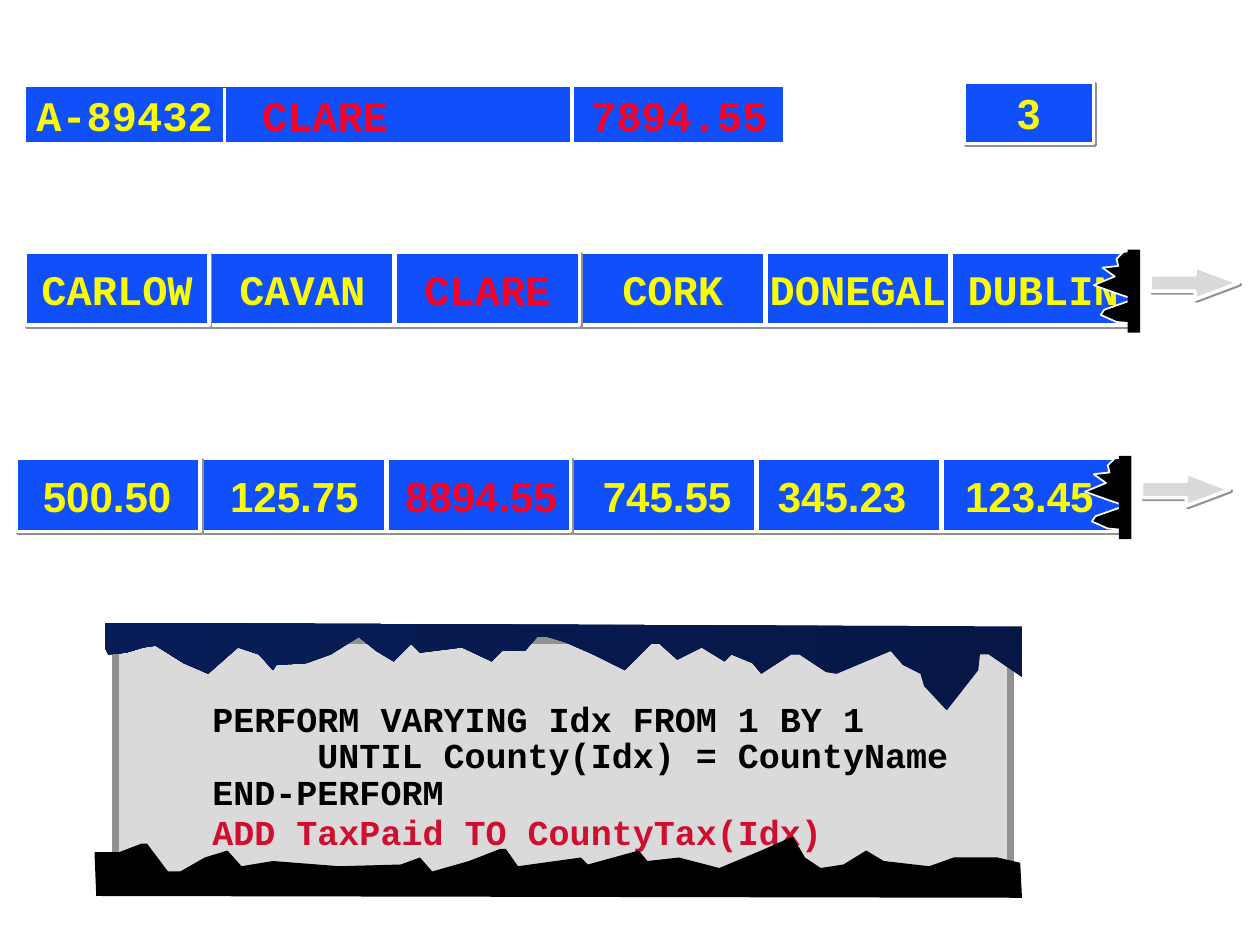
"""Build the county tax table slide with its search code."""
from lxml import etree
from pptx import Presentation
from pptx.dml.color import RGBColor
from pptx.enum.shapes import MSO_CONNECTOR, MSO_SHAPE
from pptx.enum.text import MSO_ANCHOR, PP_ALIGN
from pptx.oxml.ns import qn
from pptx.util import Pt

RECT, ARROW = MSO_SHAPE.RECTANGLE, MSO_SHAPE.RIGHT_ARROW
LINE = MSO_CONNECTOR.STRAIGHT
LEFT, MID = PP_ALIGN.LEFT, PP_ALIGN.CENTER
TOP, CENTRE = MSO_ANCHOR.TOP, MSO_ANCHOR.MIDDLE

THEME = {
    "blue": "114FFB", "white": "FFFFFF", "black": "000000", "yellow": "FAFD00",
    "red": "FC0128", "crimson": "CF0E30", "pale": "DADADA", "grey": "919191",
    "navy": "061746", "ink": "081D58", "mono": "Courier New", "sans": "Arial",
    "big": 24, "small": 20,
}

TEAR = [
    (649, 143), (642, 144), (638, 148), (639, 152), (630, 153), (637, 158),
    (625, 163), (639, 168), (648, 171), (631, 177), (629, 180), (638, 184),
    (649, 185), (649, 144),
]
FLOOR = [
    (54, 487), (68, 487), (81, 482), (84, 482), (96, 498), (103, 498), (117, 490),
    (130, 486), (138, 495), (156, 492), (194, 495), (229, 494), (240, 490),
    (247, 498), (268, 492), (286, 485), (289, 485), (296, 495), (332, 490),
    (336, 494), (365, 486), (370, 492), (388, 490), (411, 496), (435, 486),
    (453, 478), (460, 490), (469, 496), (482, 494), (495, 486), (505, 492),
    (531, 495), (545, 490), (570, 490), (583, 493), (584, 513), (55, 512),
]
ROOF = [
    (60, 356), (584, 358), (584, 387), (565, 374), (560, 374), (559, 383),
    (541, 406), (528, 392), (526, 385), (516, 380), (509, 372), (478, 385),
    (472, 384), (457, 374), (452, 374), (435, 385), (430, 379), (418, 374),
    (414, 378), (401, 370), (387, 377), (377, 368), (372, 368), (357, 383),
    (339, 374), (323, 367), (313, 364), (307, 364), (300, 372), (287, 372),
    (281, 378), (264, 370), (240, 373), (235, 368), (225, 378), (215, 372),
    (205, 364), (189, 374), (175, 379), (158, 380), (156, 383), (148, 374),
    (136, 370), (119, 385), (105, 379), (89, 369), (82, 370), (72, 373),
    (62, 374), (60, 370),
]


def paint(shape, fill, edge=None, width=2, cast=False):
    shape.shadow.inherit = False
    shape.fill.solid()
    shape.fill.fore_color.rgb = RGBColor.from_string(THEME[fill])
    if edge:
        shape.line.color.rgb = RGBColor.from_string(THEME[edge])
        shape.line.width = Pt(width)
    else:
        shape.line.fill.background()
    if cast:
        glow = etree.SubElement(
            shape.element.spPr.find(qn("a:effectLst")), qn("a:outerShdw"),
            blurRad="0", dist=str(Pt(1.4)), dir="2700000", algn="ctr", rotWithShape="0")
        etree.SubElement(glow, qn("a:srgbClr"), val=THEME["grey"])
    return shape


def write(shape, lines, face="mono", size="big", align=LEFT, anchor=CENTRE,
          wrap=True, inset=(0, 0), tabs=(), pitch=None):
    frame = shape.text_frame
    frame.word_wrap, frame.vertical_anchor = wrap, anchor
    frame.margin_left, frame.margin_top = Pt(inset[0]), Pt(inset[1])
    frame.margin_right = frame.margin_bottom = 0
    for row, parts in enumerate(lines):
        para = frame.add_paragraph() if row else frame.paragraphs[0]
        para.alignment = align
        if pitch:
            para.line_spacing = Pt(pitch)
        if tabs:
            stops = etree.SubElement(para._p.get_or_add_pPr(), qn("a:tabLst"))
            for stop in tabs:
                etree.SubElement(stops, qn("a:tab"), pos=str(Pt(stop)), algn="l")
        for text, color in parts:
            run = para.add_run()
            run.text = text
            run.font.name, run.font.size = THEME[face], Pt(THEME[size])
            run.font.bold = True
            run.font.color.rgb = RGBColor.from_string(THEME[color])


deck = Presentation()
deck.slide_width, deck.slide_height = Pt(720), Pt(540)
shapes = deck.slides.add_slide(deck.slide_layouts[6]).shapes

field = shapes.add_shape(RECT, Pt(13.7), Pt(49), Pt(434.9), Pt(33.1))
write(paint(field, "blue", "white"),
      [[("A-89432\t", "yellow"), ("CLARE\t7894.55", "red")]],
      inset=(7.2, 0), tabs=(129, 317))
for x, y in ((128.2, 50.4), (326.9, 49)):
    rule = shapes.add_connector(LINE, Pt(x), Pt(y), Pt(x), Pt(y + 33.1))
    rule.line.color.rgb = RGBColor.from_string(THEME["white"])
    rule.line.width = Pt(2)
    etree.SubElement(rule.element.spPr, qn("a:effectLst"))

index = shapes.add_shape(RECT, Pt(550.8), Pt(46.8), Pt(74.2), Pt(35.3))
write(paint(index, "blue", "white", cast=True), [[("3", "yellow")]],
      face="sans", align=MID, wrap=False)

NAMES = ("CARLOW", "CAVAN", "CLARE", "CORK", "DONEGAL", "DUBLIN")
for dx, dy, names in ((0, 0, NAMES), (-5, 118, ())):
    for col in (3, 1, 4, 0, 2, 5):
        cell = shapes.add_shape(RECT, Pt(14.4 + dx + 105.84 * col), Pt(144 + dy),
                                Pt(105), Pt(41.8))
        paint(cell, "blue", "white", cast=True)
        if names:
            color = "red" if names[col] == "CLARE" else "yellow"
            write(cell, [[(names[col], color)]], align=MID, wrap=False)
    pen = shapes.build_freeform(*TEAR[0], scale=Pt(1))
    pen.add_line_segments(TEAR[1:])
    paint(pen.convert_to_shape(Pt(dx), Pt(dy)), "black", "white", 1)
    bar = shapes.add_shape(RECT, Pt(644.4 + dx), Pt(142.6 + dy), Pt(7.2), Pt(47.5))
    paint(bar, "black")
    arrow = shapes.add_shape(ARROW, Pt(657.4 + dx), Pt(152.4 + dy), Pt(50.4), Pt(18.7))
    arrow.adjustments[1] = 1.33
    paint(arrow, "pale", "white", cast=True)

panel = shapes.add_shape(RECT, Pt(66.2), Pt(365.8), Pt(511.2), Pt(143.3))
write(paint(panel, "pale", "grey", 4),
      [[("PERFORM VARYING Idx FROM 1 BY 1", "black")],
       [("     UNTIL County(Idx) = CountyName", "black")],
       [("END-PERFORM", "black")],
       [("ADD TaxPaid TO CountyTax(Idx)", "crimson")]],
      size="small", anchor=TOP, inset=(55.2, 36), pitch=20.8)
panel.text_frame.paragraphs[-1].space_before = Pt(2)

for edge in (FLOOR, ROOF):
    pen = shapes.build_freeform(*edge[0], scale=Pt(1))
    pen.add_line_segments(edge[1:])
    torn = paint(pen.convert_to_shape(), "black")
torn.fill.gradient()
torn.fill.gradient_angle = 180
for stop, color in zip(torn.fill.gradient_stops, ("navy", "ink")):
    stop.color.rgb = RGBColor.from_string(THEME[color])

sums = shapes.add_textbox(Pt(11.5), Pt(263.5), Pt(624), Pt(39.6))
write(sums, [[("500.50\t125.75\t", "yellow"), ("8894.55\t", "red"),
              ("745.55\t345.23\t123.45", "yellow")]],
      face="sans", inset=(13, 0), tabs=(107, 207, 320, 420, 527))

deck.save("out.pptx")
